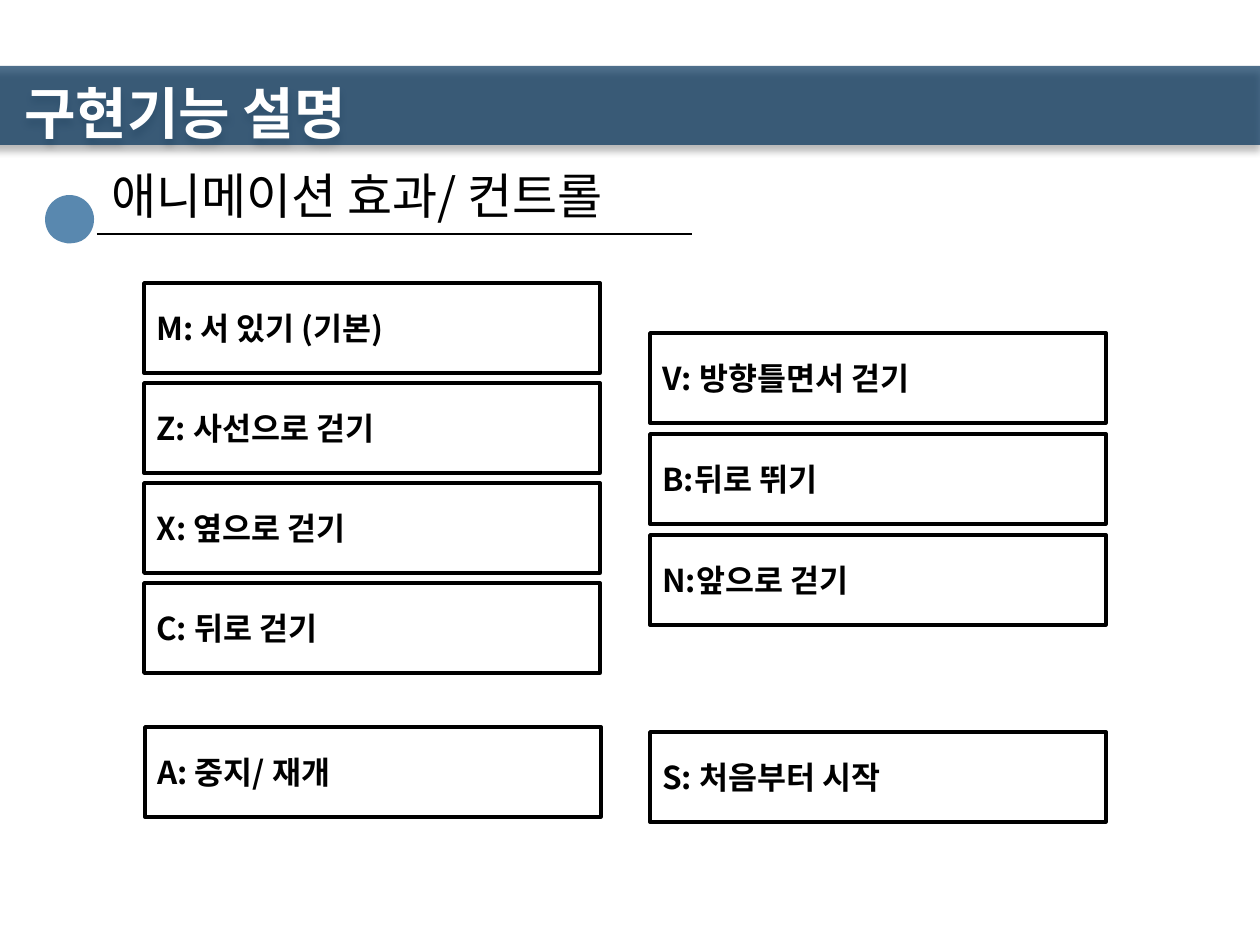
from dataclasses import dataclass

from lxml import etree
from pptx import Presentation
from pptx.dml.color import RGBColor
from pptx.enum.shapes import MSO_CONNECTOR, MSO_SHAPE
from pptx.enum.text import MSO_ANCHOR, MSO_AUTO_SIZE, PP_ALIGN
from pptx.oxml.ns import qn
from pptx.util import Emu, Pt

CUBE = MSO_SHAPE.CUBE
TEAR = MSO_SHAPE.TEAR
LINE = MSO_CONNECTOR.STRAIGHT
MID = MSO_ANCHOR.MIDDLE
LEFT = PP_ALIGN.LEFT
FIXED = MSO_AUTO_SIZE.NONE
SCALE = 914400 / 126
FONT = "Noto Sans CJK KR"
BLACK = "000000"
WHITE = "FFFFFF"


@dataclass
class Stack:
    left: int
    top: int
    step: int
    keys: list[str]


STACKS = [
    Stack(144, 283, 100, ["M: 서 있기 (기본)", "Z: 사선으로 걷기",
                          "X: 옆으로 걷기", "C: 뒤로 걷기"]),
    Stack(650, 333, 101, ["V: 방향틀면서 걷기", "B:뒤로 뛰기", "N:앞으로 걷기"]),
    Stack(145, 727, 0, ["A: 중지/ 재개"]),
    Stack(650, 732, 0, ["S: 처음부터 시작"]),
]


def px(size: int) -> Emu:
    return Emu(round(size * SCALE))


def rgb(code: str) -> RGBColor:
    return RGBColor.from_string(code)


def paint(shape, code: str, alpha: int = 100) -> None:
    shape.fill.solid()
    shape.fill.fore_color.rgb = rgb(code)
    if alpha < 100:
        tint = shape._element.spPr.find(qn("a:solidFill"))[0]
        etree.SubElement(tint, qn("a:alpha"), val=str(alpha * 1000))


def write(shape, text: str, size: int, color: str = BLACK,
          bold: bool = False, wrap: bool = True) -> None:
    frame = shape.text_frame
    frame.auto_size = FIXED
    frame.word_wrap = wrap
    para = frame.paragraphs[0]
    para.alignment = LEFT
    run = para.add_run()
    run.text = text
    run.font.name = FONT
    run.font.size = Pt(size)
    run.font.bold = bold
    run.font.color.rgb = rgb(color)
    etree.SubElement(run._r.get_or_add_rPr(), qn("a:ea"), typeface=FONT)


def draw_band(slide, text: str) -> None:
    band = slide.shapes.title
    band.left, band.top, band.width, band.height = map(px, (-84, 66, 1344, 79))
    paint(band, "003059", 69)
    effect = etree.SubElement(band._element.spPr, qn("a:effectLst"))
    shade = etree.SubElement(effect, qn("a:outerShdw"), blurRad=str(Pt(4)),
                             dist=str(Pt(3)), dir="5400000", rotWithShape="0")
    tint = etree.SubElement(shade, qn("a:srgbClr"), val=BLACK)
    etree.SubElement(tint, qn("a:alpha"), val="40000")
    write(band, text, 32, color=WHITE, bold=True)
    frame = band.text_frame
    frame.vertical_anchor = MID
    frame.margin_left = px(108)
    frame.margin_top = px(13)
    frame.margin_bottom = 0


def draw_head(slide, text: str) -> None:
    head = slide.shapes.add_textbox(px(99), px(159), px(571), px(72))
    write(head, text, 28, wrap=False)
    rule = slide.shapes.add_connector(LINE, px(97), px(234), px(692), px(234))
    rule.line.color.rgb = rgb(BLACK)
    rule.line.width = Pt(0.75)
    etree.SubElement(rule._element.spPr, qn("a:effectLst"))
    drop = slide.shapes.add_shape(TEAR, px(45), px(195), px(49), px(49))
    drop.adjustments[0] = 0.69
    drop.rotation = 140.9
    drop.shadow.inherit = False
    drop.line.fill.background()
    paint(drop, "004985", 65)


def draw_stack(slide, stack: Stack) -> None:
    for row, text in enumerate(stack.keys):
        top = stack.top + row * stack.step
        box = slide.shapes.add_shape(CUBE, px(stack.left), px(top), px(456), px(90))
        box.adjustments[0] = 0
        box.shadow.inherit = False
        paint(box, WHITE)
        box.line.color.rgb = rgb(BLACK)
        box.line.width = Pt(2)
        write(box, text, 18, bold=True)
        box.text_frame.vertical_anchor = MID


def main() -> None:
    deck = Presentation()
    deck.slide_width, deck.slide_height = px(1260), px(945)
    slide = deck.slides.add_slide(deck.slide_layouts[5])
    draw_band(slide, "구현기능 설명")
    draw_head(slide, "애니메이션 효과/ 컨트롤")
    for stack in STACKS:
        draw_stack(slide, stack)
    deck.save("out.pptx")


if __name__ == "__main__":
    main()
